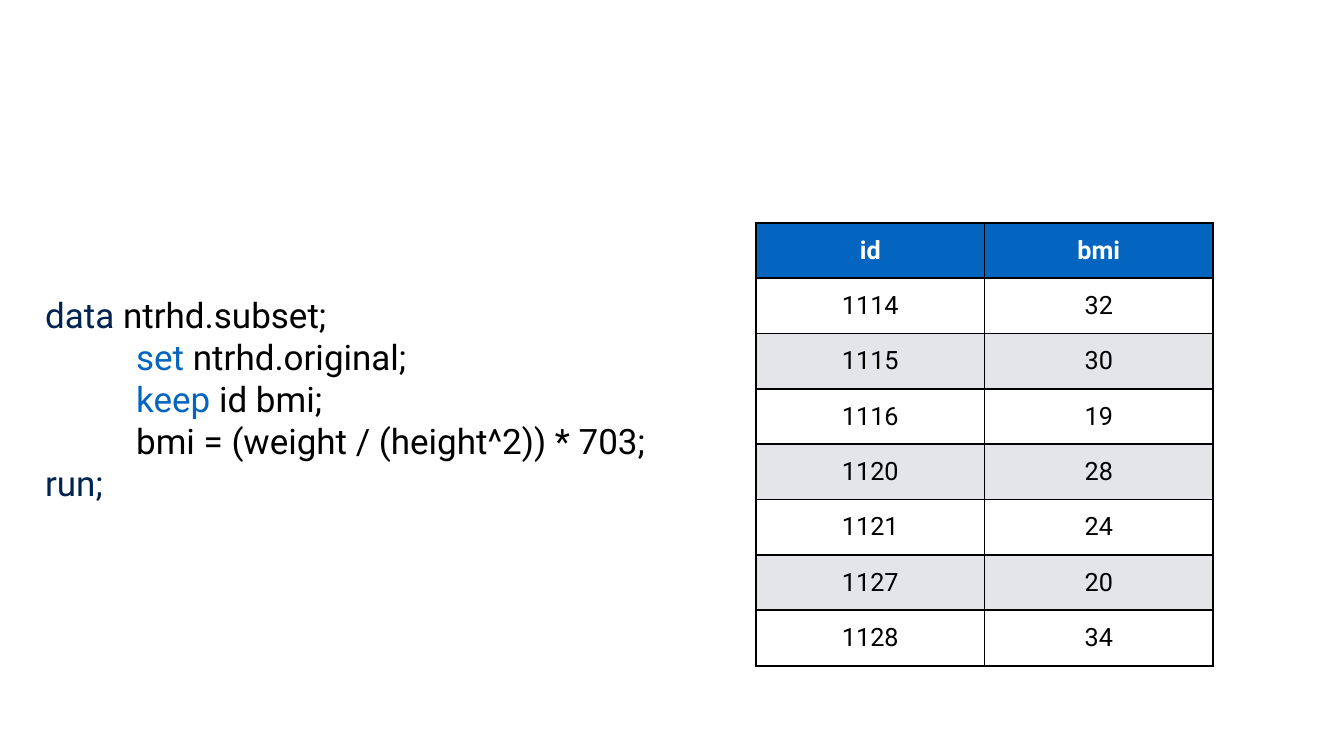
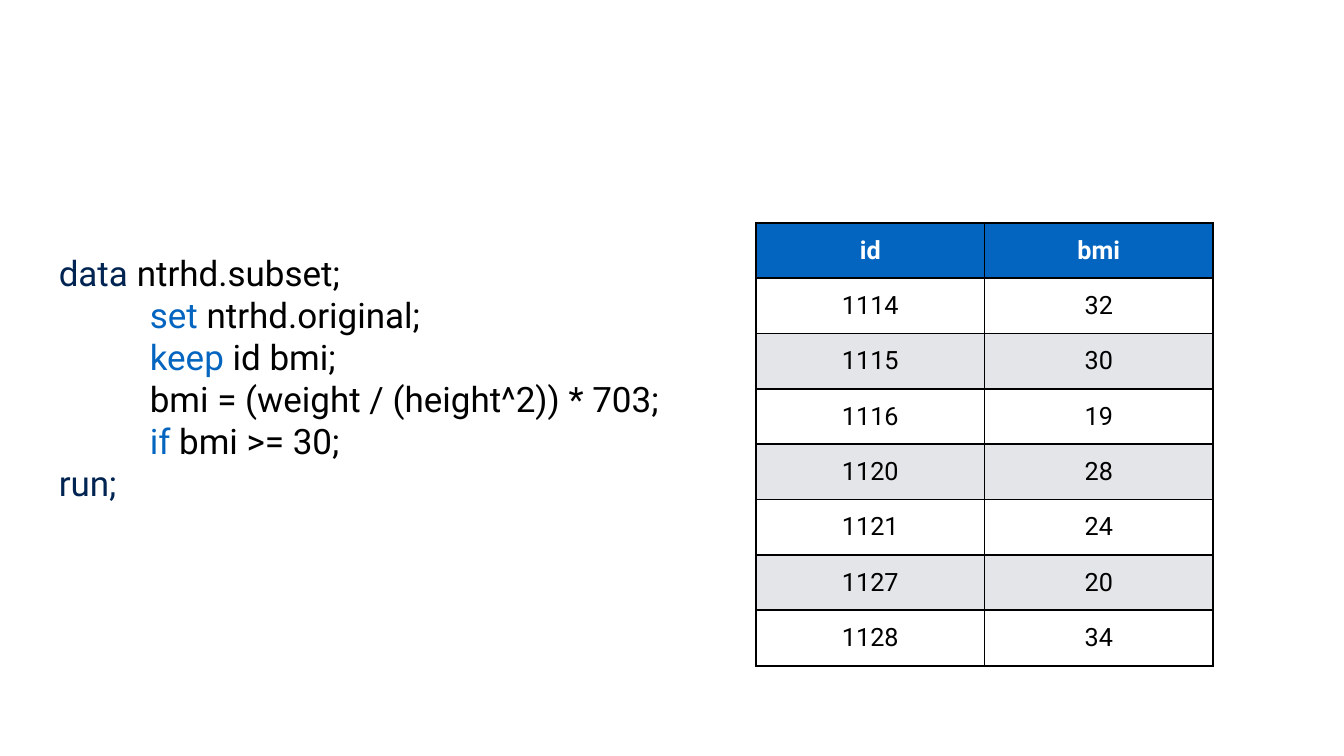
import pptx
import pptx.util
import pptx.oxml.ns
import pptx.dml.color
import pptx.enum.text
from lxml import etree

Pt = pptx.util.Pt
RGB = pptx.dml.color.RGBColor
qn = pptx.oxml.ns.qn

NAVY = RGB(0x00, 0x24, 0x52)
BLUE = RGB(0x03, 0x65, 0xC0)
GREY = RGB(0xE3, 0xE5, 0xE8)
WHITE = RGB(0xFF, 0xFF, 0xFF)
BLACK = RGB(0, 0, 0)
FONT = "Roboto"
PAD = Pt(4)
TAB = 65
LINE = 60
BASE = 723.5

HEAD = ("id", "bmi")
ROWS = [(1114, 32), (1115, 30), (1116, 19), (1120, 28),
        (1121, 24), (1127, 20), (1128, 34)]

START = [
    [("data", NAVY), (" ntrhd.subset;", BLACK)],
    [("\t\t", BLACK), ("set", BLUE), (" ntrhd.original;", BLACK)],
    [("\t\t", BLACK), ("keep", BLUE), (" id bmi;", BLACK)],
    [("\t\tbmi = (weight / (height^2)) * 703;", BLACK)],
]
FILTER = [[("\t\t", BLACK), ("if", BLUE), (" bmi >= 30;", BLACK)]]
END = [[("run;", NAVY)]]


def add_run(para, text, size, color, bold=False):
    """Add one styled run to a paragraph."""
    run = para.add_run()
    run.text = text
    run.font.name = FONT
    run.font.size = Pt(size)
    run.font.bold = bold
    run.font.color.rgb = color


def set_tabs(para):
    """Give a paragraph the two indent stops of the code."""
    tabs = etree.SubElement(para._p.get_or_add_pPr(), qn("a:tabLst"))
    for step in (1, 2):
        etree.SubElement(tabs, qn("a:tab"), pos=str(Pt(TAB * step)), algn="l")


def add_code(slide, left, lines):
    """Add a block of coloured code that ends at the shared base."""
    high = LINE * len(lines) + 8
    box = slide.shapes.add_textbox(Pt(left), Pt(BASE - high), Pt(882.7), Pt(high))
    frame = box.text_frame
    frame.word_wrap = False
    frame.auto_size = pptx.enum.text.MSO_AUTO_SIZE.SHAPE_TO_FIT_TEXT
    frame.vertical_anchor = pptx.enum.text.MSO_ANCHOR.MIDDLE
    frame.margin_left = frame.margin_right = PAD
    frame.margin_top = frame.margin_bottom = PAD
    for i, line in enumerate(lines):
        para = frame.add_paragraph() if i else frame.paragraphs[0]
        set_tabs(para)
        for text, color in line:
            add_run(para, text, 50, color)


def set_edges(cell):
    """Draw a black border on all four sides of a cell."""
    props = cell._tc.get_or_add_tcPr()
    for i, side in enumerate(("lnL", "lnR", "lnT", "lnB")):
        edge = etree.Element(qn("a:" + side), w=str(Pt(3)))
        fill = etree.SubElement(edge, qn("a:solidFill"))
        etree.SubElement(fill, qn("a:srgbClr"), val=str(BLACK))
        props.insert(i, edge)


def fill_cell(cell, text, fill, color, bold):
    """Set the text, fill and border of one cell."""
    cell.fill.solid()
    cell.fill.fore_color.rgb = fill
    set_edges(cell)
    cell.margin_left = cell.margin_right = PAD
    cell.margin_top = cell.margin_bottom = PAD
    cell.vertical_anchor = pptx.enum.text.MSO_ANCHOR.MIDDLE
    para = cell.text_frame.paragraphs[0]
    para.alignment = pptx.enum.text.PP_ALIGN.CENTER
    add_run(para, text, 36, color, bold)


def add_grid(slide):
    """Add the table of ids and bmi values."""
    data = [HEAD] + ROWS
    table = slide.shapes.add_table(len(data), len(HEAD), Pt(1080), Pt(318.2),
                                   Pt(653), Pt(79.1 * len(data))).table
    for r, row in enumerate(data):
        head = r == 0
        fill = BLUE if head else (GREY, WHITE)[r % 2]
        for c, value in enumerate(row):
            fill_cell(table.cell(r, c), str(value), fill,
                      WHITE if head else BLACK, head)


def main():
    """Build both slides and save them."""
    deck = pptx.Presentation()
    deck.slide_width, deck.slide_height = Pt(1920), Pt(1080)
    for left, lines in ((60.5, START + END), (80, START + FILTER + END)):
        slide = deck.slides.add_slide(deck.slide_layouts[6])
        add_code(slide, left, lines)
        add_grid(slide)
    deck.save("out.pptx")


if __name__ == "__main__":
    main()
